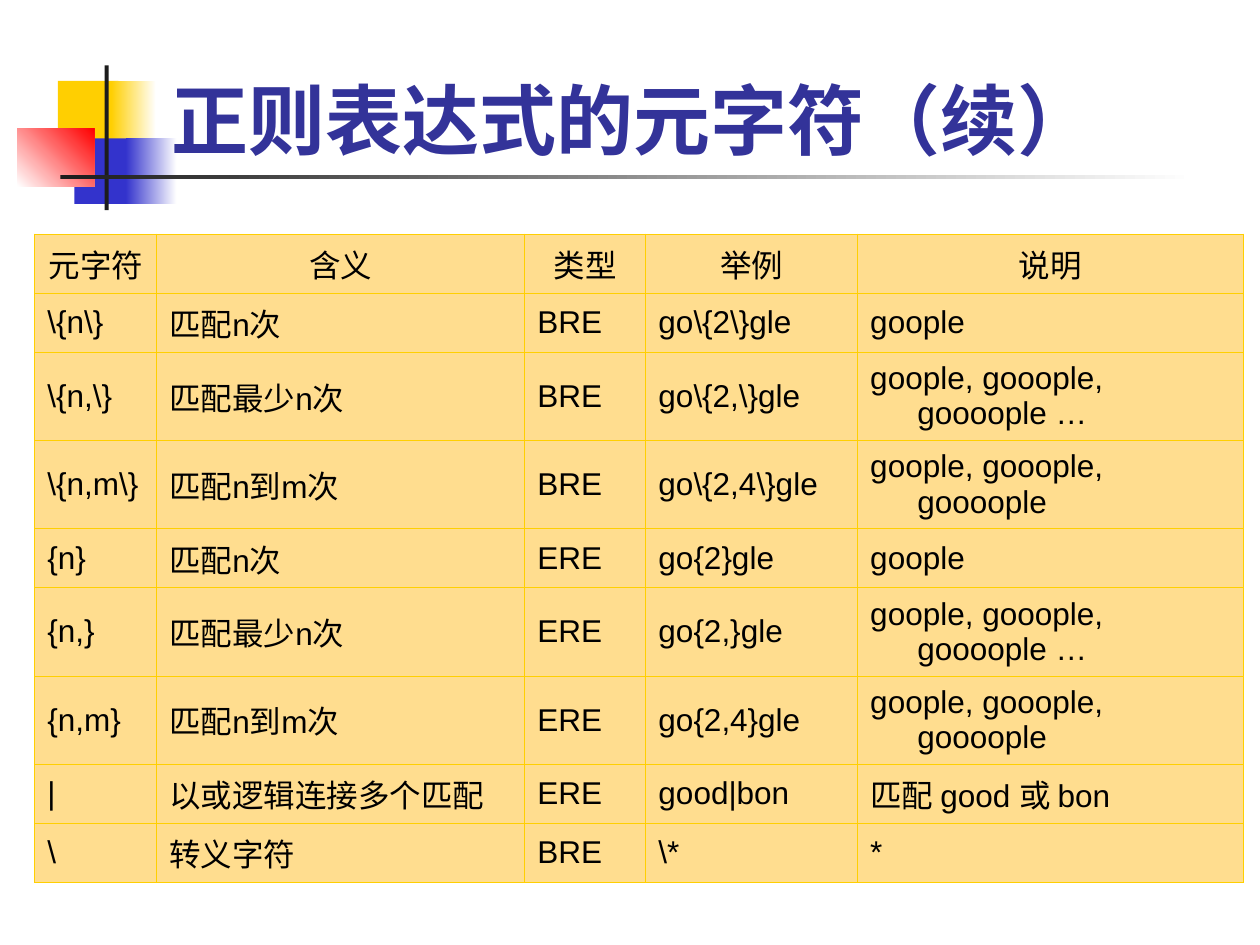
from lxml.etree import SubElement
from pptx import Presentation
from pptx.dml.color import RGBColor
from pptx.enum.shapes import MSO_SHAPE
from pptx.enum.text import MSO_ANCHOR as ANCHOR, PP_ALIGN as ALIGN
from pptx.oxml.ns import qn
from pptx.util import Cm, Pt

COLORS = {
    "gold": "FFCF01", "blue": "3333CC", "red": "FF0000", "ink": "1C1C1C",
    "white": "FFFFFF", "title": "333399", "text": "000000", "cell": "FFDD8F",
}
HEADER = ["元字符", "含义", "类型", "举例", "说明"]
METACHARACTERS = [
    [r"\{n\}", "匹配n次", "BRE", r"go\{2\}gle", "goople"],
    [r"\{n,\}", "匹配最少n次", "BRE", r"go\{2,\}gle", "goople, gooople, goooople …"],
    [r"\{n,m\}", "匹配n到m次", "BRE", r"go\{2,4\}gle", "goople, gooople, goooople"],
    ["{n}", "匹配n次", "ERE", "go{2}gle", "goople"],
    ["{n,}", "匹配最少n次", "ERE", "go{2,}gle", "goople, gooople, goooople …"],
    ["{n,m}", "匹配n到m次", "ERE", "go{2,4}gle", "goople, gooople, goooople"],
    ["|", "以或逻辑连接多个匹配", "ERE", "good|bon", "匹配 good 或 bon"],
    ["\\", "转义字符", "BRE", r"\*", "*"],
]
COLUMN_WIDTHS = [2.46, 7.42, 2.44, 4.27, 7.77]
ROW_HEIGHT = 1.19


def rgb(name):
    return RGBColor.from_string(COLORS[name])


def write(frame, text, size=18, font="Arial", color="text", bold=False,
          align=ALIGN.LEFT, hanging=0):
    paragraph = frame.paragraphs[0]
    paragraph.alignment = align
    if hanging:
        properties = paragraph._p.get_or_add_pPr()
        properties.set("marL", str(Cm(hanging)))
        properties.set("indent", str(-Cm(hanging)))
    run = paragraph.add_run()
    run.text = text
    run.font.size, run.font.name, run.font.bold = Pt(size), font, bold
    run.font.color.rgb = rgb(color)


def add_block(slide, left, top, width, height, color, fade_to=None, angle=0):
    """Add a borderless rectangle, plain or fading to a second colour."""
    block = slide.shapes.add_shape(
        MSO_SHAPE.RECTANGLE, Cm(left), Cm(top), Cm(width), Cm(height))
    block.shadow.inherit = False
    block.line.fill.background()
    if fade_to is None:
        block.fill.solid()
        block.fill.fore_color.rgb = rgb(color)
        return
    block.fill.gradient()
    block.fill.gradient_angle = angle
    for stop, name in zip(block.fill.gradient_stops, (color, fade_to)):
        stop.color.rgb = rgb(name)


def add_motif(slide, left, top):
    """Add the overlapping squares with the crossing bars."""
    for x, y, width, height, *colors in [
        (0.82, 0.31, 1.22, 1.32, "gold"),
        (1.89, 0.31, 0.91, 1.32, "gold", "white"),
        (1.15, 1.47, 1.17, 1.32, "blue"),
        (2.19, 1.47, 1.02, 1.32, "blue", "white"),
        (0, 1.27, 1.55, 1.17, "white", "red", 45),
        (1.76, 0, 0.08, 2.92, "ink"),
        (0.87, 2.21, 22.86, 0.08, "ink", "white"),
    ]:
        add_block(slide, left + x, top + y, width, height, *colors)


def add_title(slide, left, top, width, height):
    box = slide.shapes.add_textbox(Cm(left), Cm(top), Cm(width), Cm(height))
    frame = box.text_frame
    frame.word_wrap = True
    frame.vertical_anchor = ANCHOR.BOTTOM
    write(frame, "正则表达式的元字符（续）", size=44, font="Times New Roman",
          color="title", bold=True)


def add_borders(cell, color, width):
    properties = cell._tc.get_or_add_tcPr()
    for position, side in enumerate(("a:lnL", "a:lnR", "a:lnT", "a:lnB")):
        line = SubElement(properties, qn(side), w=str(Pt(width)))
        fill = SubElement(line, qn("a:solidFill"))
        SubElement(fill, qn("a:srgbClr"), val=COLORS[color])
        properties.insert(position, line)


def add_metacharacter_table(slide, left, top, width, height):
    rows = [HEADER] + METACHARACTERS
    holder = slide.shapes.add_table(
        len(rows), len(HEADER), Cm(left), Cm(top), Cm(width), Cm(height))
    table = holder.table
    table.first_row = table.horz_banding = False
    for column, column_width in zip(table.columns, COLUMN_WIDTHS):
        column.width = Cm(column_width)
    for r, texts in enumerate(rows):
        table.rows[r].height = Cm(ROW_HEIGHT)
        for c, text in enumerate(texts):
            cell = table.cell(r, c)
            cell.vertical_anchor = ANCHOR.MIDDLE
            cell.fill.solid()
            cell.fill.fore_color.rgb = rgb("cell")
            add_borders(cell, "gold", 0.5)
            write(cell.text_frame, text, hanging=0.95,
                  align=ALIGN.LEFT if r else ALIGN.CENTER)
    holder.height = Cm(height)


def main():
    deck = Presentation()
    deck.slide_width, deck.slide_height = Cm(25.4), Cm(19.05)
    slide = deck.slides.add_slide(deck.slide_layouts[6])
    add_motif(slide, 0.35, 1.32)
    add_title(slide, 3.2, 0.53, 21.64, 2.92)
    add_metacharacter_table(slide, 0.7, 4.72, 24.36, 12.95)
    deck.save("out.pptx")


if __name__ == "__main__":
    main()
